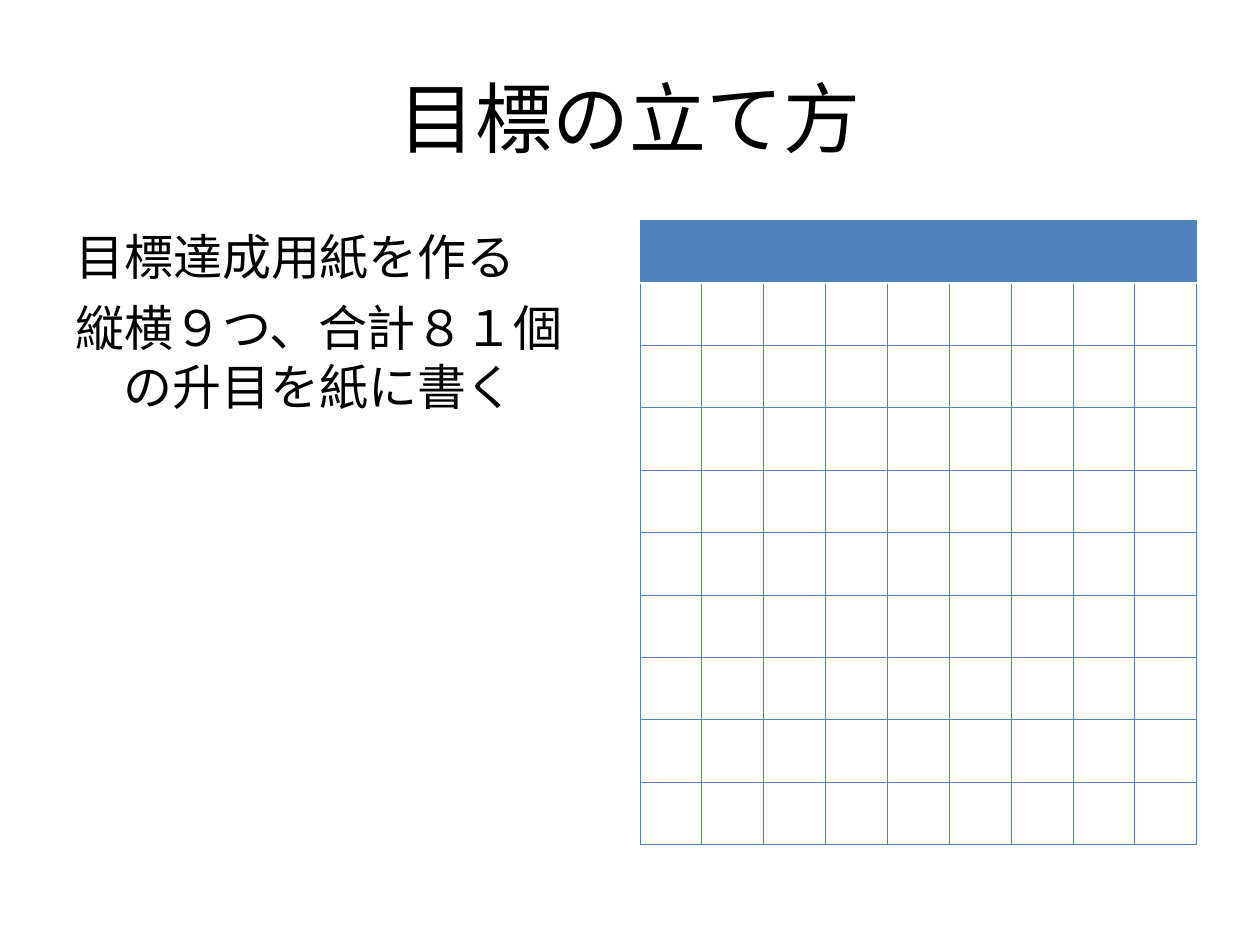
from lxml import etree
from pptx import Presentation
from pptx.dml.color import RGBColor
from pptx.enum.text import MSO_ANCHOR, PP_ALIGN
from pptx.oxml.ns import qn
from pptx.util import Cm, Pt

MIDDLE = MSO_ANCHOR.MIDDLE
CENTER = PP_ALIGN.CENTER

TITLE = "目標の立て方"
STEPS = ["目標達成用紙を作る", "縦横９つ、合計８１個の升目を紙に書く"]

FONT = "Arial"
BLACK, WHITE, BLUE = "000000", "FFFFFF", "4F81BD"
GRID_SIZE = 9
HEADER_ROWS = 1
THIN, THICK = 0.45, 1.47

TOP, PANEL_WIDTH, PANEL_HEIGHT = Cm(4.45), Cm(11.23), Cm(12.57)
LEFT, TABLE_LEFT = Cm(1.27), Cm(12.9)
HANGING = Cm(0.97)


def color(value):
    return RGBColor.from_string(value)


def format_paragraph(paragraph, size):
    paragraph.font.name = FONT
    paragraph.font.size = Pt(size)
    paragraph.font.color.rgb = color(BLACK)


def set_borders(cell, sides):
    """Draw the cell's borders from (tag, colour, points), in schema order."""
    properties = cell._tc.get_or_add_tcPr()
    for index, (tag, value, width) in enumerate(sides):
        line = etree.Element(qn(f"a:{tag}"), w=str(Pt(width)))
        fill = etree.SubElement(line, qn("a:solidFill"))
        etree.SubElement(fill, qn("a:srgbClr"), val=value)
        properties.insert(index, line)


def add_title(page):
    title = page.shapes.title
    title.left, title.top, title.width, title.height = LEFT, Cm(0.76), Cm(22.86), Cm(3.18)
    title.text_frame.text = TITLE
    title.text_frame.vertical_anchor = MIDDLE
    paragraph = title.text_frame.paragraphs[0]
    paragraph.alignment = CENTER
    format_paragraph(paragraph, 44)


def add_steps(page):
    frame = page.shapes.add_textbox(LEFT, TOP, PANEL_WIDTH, PANEL_HEIGHT).text_frame
    frame.word_wrap = True
    for index, step in enumerate(STEPS):
        paragraph = frame.add_paragraph() if index else frame.paragraphs[0]
        paragraph.text = step
        if index:
            paragraph.space_before = Pt(7)
        properties = paragraph._p.get_or_add_pPr()
        properties.set("marL", str(HANGING))
        properties.set("indent", str(-HANGING))
        format_paragraph(paragraph, 28)


def add_goal_grid(page):
    row_count = GRID_SIZE + HEADER_ROWS
    table = page.shapes.add_table(
        row_count, GRID_SIZE, TABLE_LEFT, TOP, PANEL_WIDTH, PANEL_HEIGHT
    ).table
    table.horz_banding = False
    for row_index, row in enumerate(table.rows):
        is_header = row_index < HEADER_ROWS
        top = (WHITE, THICK) if row_index == HEADER_ROWS else (BLUE, THIN)
        bottom = (WHITE, THICK) if is_header else (BLUE, THIN)
        for cell in row.cells:
            if is_header:
                cell.fill.solid()
                cell.fill.fore_color.rgb = color(BLUE)
            else:
                cell.fill.background()
            set_borders(cell, [("lnL", BLUE, THIN), ("lnR", BLUE, THIN),
                               ("lnT", *top), ("lnB", *bottom)])


def main():
    deck = Presentation()
    deck.slide_width, deck.slide_height = Cm(25.4), Cm(19.05)
    page = deck.slides.add_slide(deck.slide_layouts.get_by_name("Title Only"))
    add_title(page)
    add_steps(page)
    add_goal_grid(page)
    deck.save("out.pptx")


if __name__ == "__main__":
    main()
